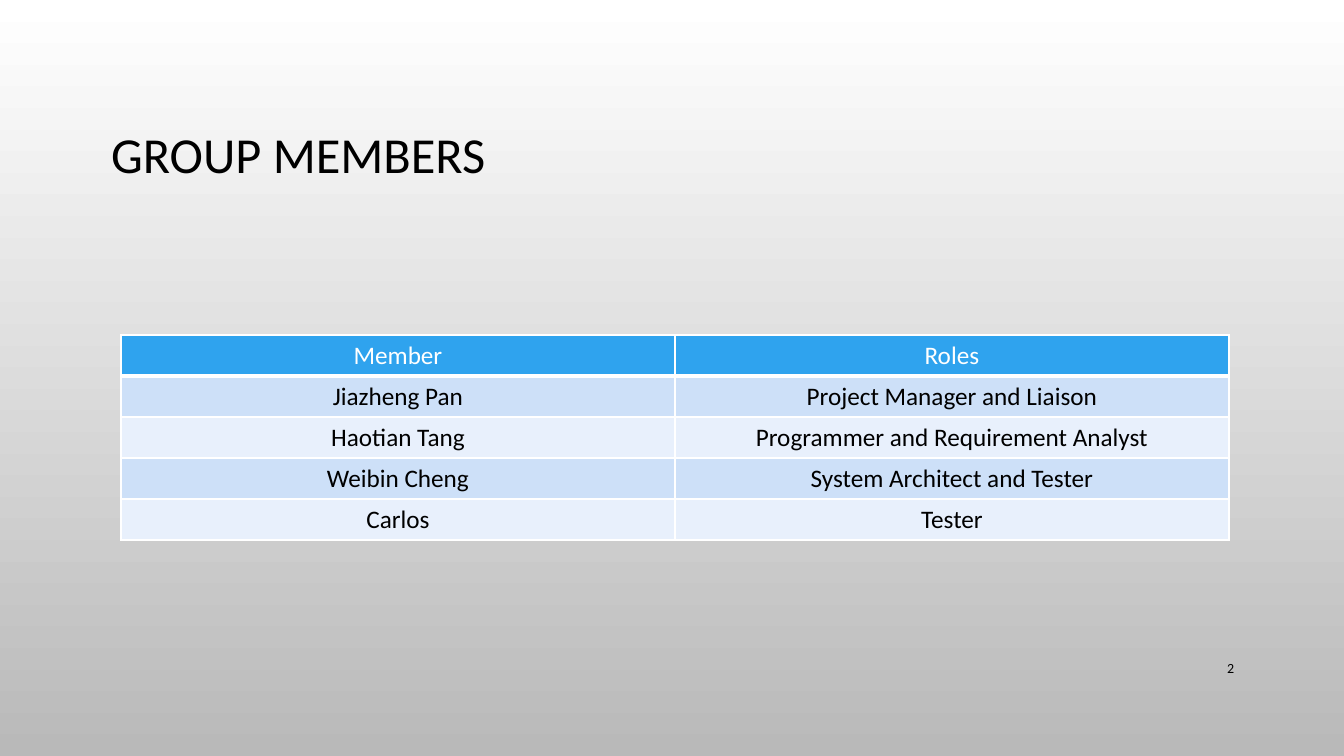
"""Build the group members slide: a title, a table of roles and the page number."""
from lxml import etree
from pptx import Presentation
from pptx import util as u
from pptx.dml.color import RGBColor
from pptx.enum import text
from pptx.oxml.ns import qn

PX = 12192000 / 1344
FONT = "Calibri"
COLORS = {
    "top": "FFFFFF", "bottom": "B9B9B9", "ink": "000000", "rule": "FFFFFF",
    "header": "2FA3EE", "header_ink": "FFFFFF", "odd": "CDE0F8", "even": "E8F0FC",
}
MEMBERS = [
    ("Member", "Roles"),
    ("Jiazheng Pan", "Project Manager and Liaison"),
    ("Haotian Tang", "Programmer and Requirement Analyst"),
    ("Weibin Cheng", "System Architect and Tester"),
    ("Carlos", "Tester"),
]


def px(*lengths):
    return [u.Emu(round(length * PX)) for length in lengths]


def style(paragraph, size, color, align):
    paragraph.alignment = align
    paragraph.font.name = FONT
    paragraph.font.size = u.Pt(size)
    paragraph.font.bold = False
    paragraph.font.color.rgb = RGBColor.from_string(COLORS[color])


prs = Presentation()
prs.slide_width, prs.slide_height = px(1344, 756)
slide = prs.slides.add_slide(prs.slide_layouts[5])

backdrop = slide.background.fill
backdrop.gradient()
backdrop.gradient_angle = 270
for stop, position, color in zip(backdrop.gradient_stops, (0, 1), ("top", "bottom")):
    stop.position = position
    stop.color.rgb = RGBColor.from_string(COLORS[color])

heading = slide.shapes.title
heading.left, heading.top, heading.width, heading.height = px(101, 69, 1142, 176)
heading.text_frame.text = "GROUP MEMBERS"
heading.text_frame.vertical_anchor = text.MSO_ANCHOR.MIDDLE
heading.text_frame.paragraphs[0].line_spacing = 0.9
style(heading.text_frame.paragraphs[0], 36, "ink", text.PP_ALIGN.LEFT)

roles = slide.shapes.add_table(len(MEMBERS), 2, *px(121, 335, 1108, 205)).table
for row, member in enumerate(MEMBERS):
    fill = "header" if row == 0 else "odd" if row % 2 else "even"
    for column, label in enumerate(member):
        cell = roles.cell(row, column)
        cell.text = label
        style(cell.text_frame.paragraphs[0], 18, "ink" if row else "header_ink",
              text.PP_ALIGN.CENTER)
        properties = cell._tc.get_or_add_tcPr()
        for side in ("lnL", "lnR", "lnT", "lnB"):
            thick = (row, side) in ((0, "lnB"), (1, "lnT"))
            border = etree.SubElement(properties, qn(f"a:{side}"),
                                      w=str(u.Pt(3 if thick else 1)))
            paint = etree.SubElement(border, qn("a:solidFill"))
            etree.SubElement(paint, qn("a:srgbClr"), val=COLORS["rule"])
        cell.fill.solid()
        cell.fill.fore_color.rgb = RGBColor.from_string(COLORS[fill])

page_number = slide.shapes.add_textbox(*px(1159, 648, 85, 40)).text_frame
page_number.word_wrap = True
page_number.vertical_anchor = text.MSO_ANCHOR.MIDDLE
page_number.text = "2"
style(page_number.paragraphs[0], 10, "ink", text.PP_ALIGN.RIGHT)

prs.save("out.pptx")
